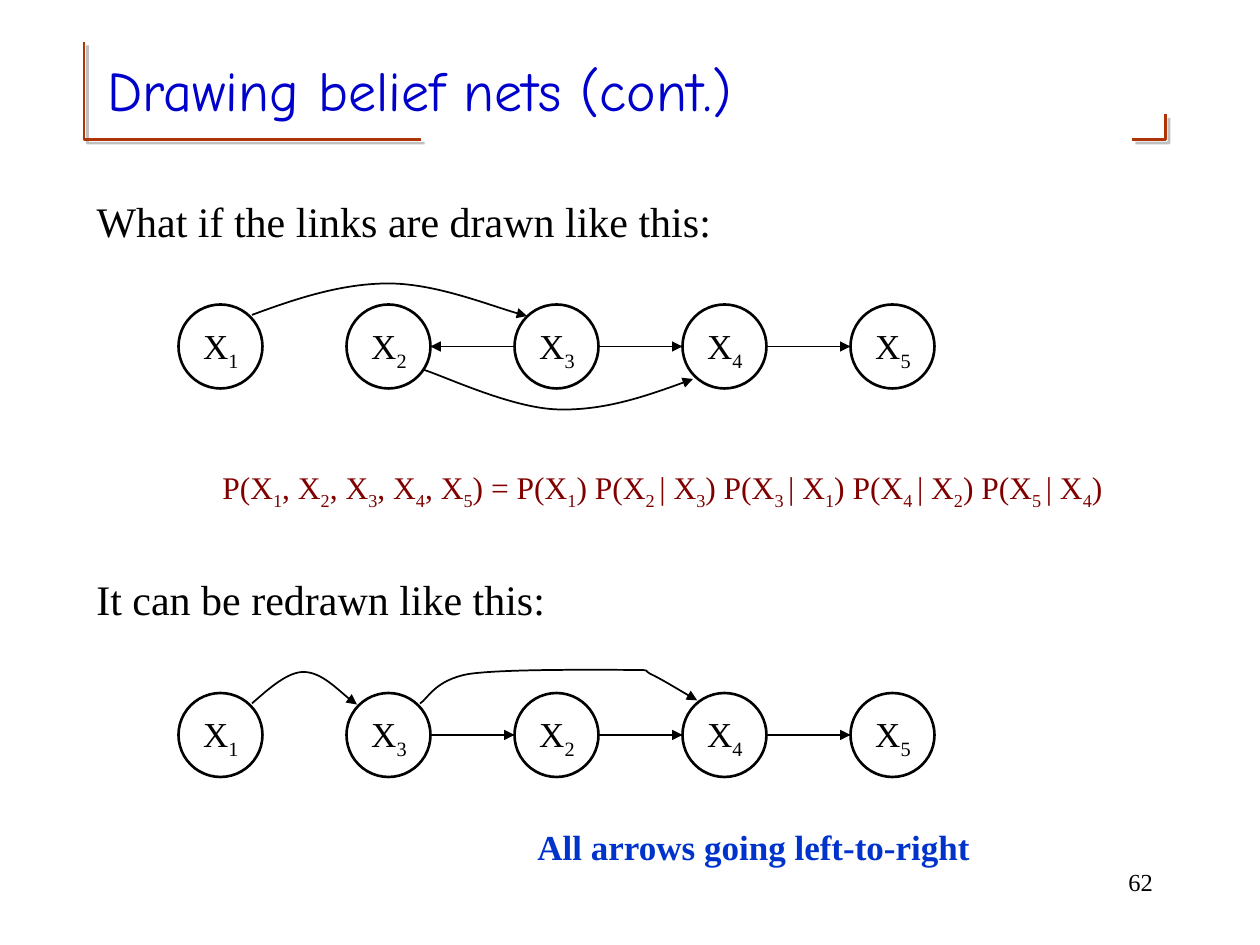
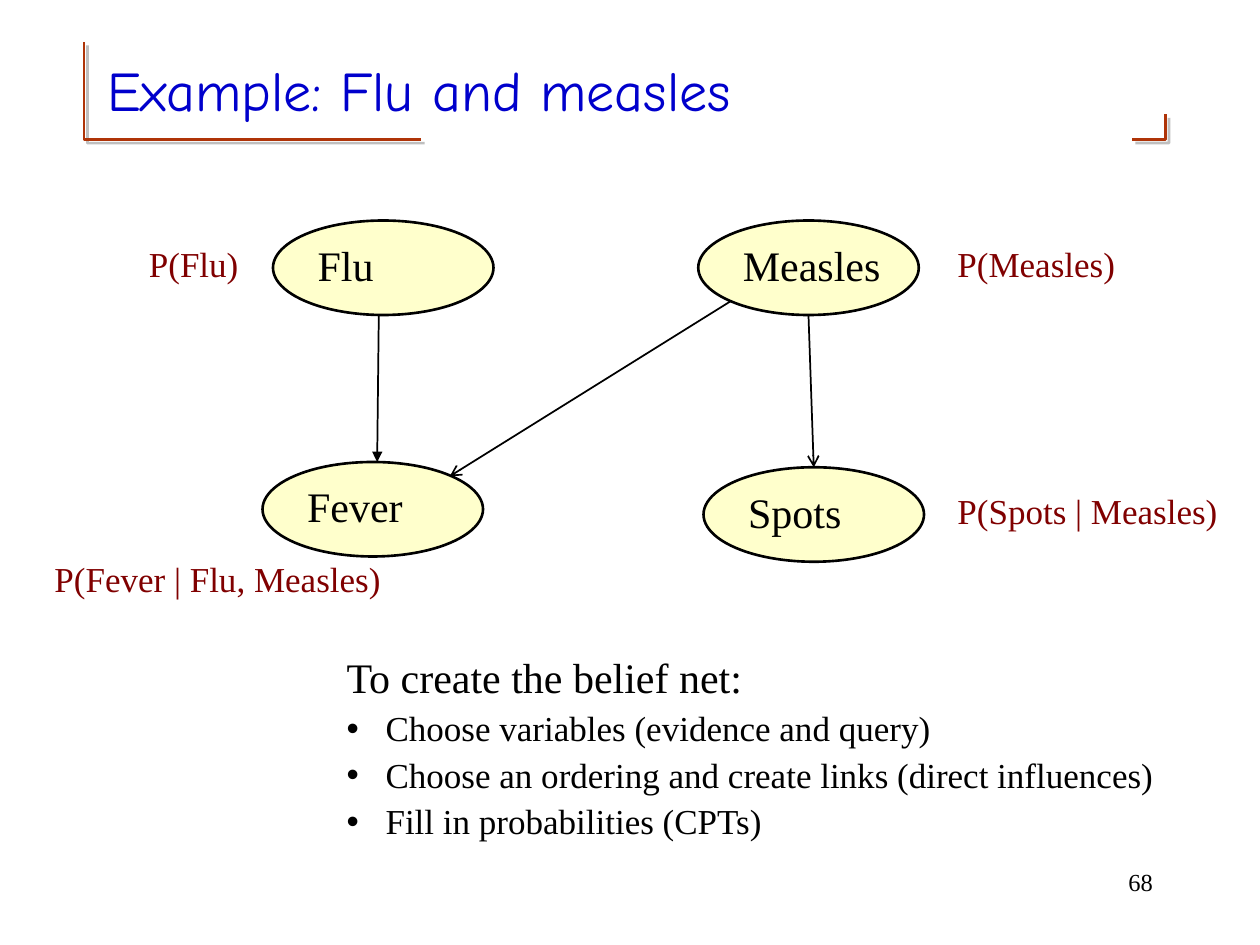
from lxml import etree
from pptx import Presentation
from pptx.dml.color import RGBColor
from pptx.enum.shapes import MSO_CONNECTOR, MSO_SHAPE
from pptx.enum.text import MSO_AUTO_SIZE, PP_ALIGN
from pptx.oxml.ns import qn
from pptx.util import Inches, Pt

LEFT, RIGHT = PP_ALIGN.LEFT, PP_ALIGN.RIGHT
NO_FIT = MSO_AUTO_SIZE.NONE
OVAL = MSO_SHAPE.OVAL
STRAIGHT = MSO_CONNECTOR.STRAIGHT

WIDE, HIGH = Inches(10), Inches(7.5)
COLS, ROWS = 120, 90
SERIF, HAND = "Times New Roman", "Comic Neue"
COLOR = {
    "ink": "000000",
    "title": "0000CC",
    "note": "0033CC",
    "prob": "800000",
    "node": "FFFFCC",
    "rule": "AF3408",
    "shade": "808080",
}


def hue(name):
    return RGBColor.from_string(COLOR[name])


def spot(col, row):
    return int(col * WIDE / COLS), int(row * HIGH / ROWS)


def area(box):
    return *spot(*box[:2]), *spot(*box[2:])


def move(shape, box):
    shape.left, shape.top, shape.width, shape.height = area(box)


def write(frame, lines, size, color="ink", face=SERIF, align=LEFT,
          space=None, bold=None, wrap=False):
    frame.auto_size = NO_FIT
    frame.word_wrap = wrap
    for i, line in enumerate(lines):
        par = frame.paragraphs[0] if i == 0 else frame.add_paragraph()
        for j, part in enumerate(line.split("_")):
            run = par.add_run()
            run.text = part
            if j % 2:
                run.font.size = Pt(size)
                run.font.name = face
                run.font.color.rgb = hue(color)
                run._r.get_or_add_rPr().set("baseline", "-25000")
        par.alignment = align
        par.space_before = Pt(0)
        if space:
            par.line_spacing = space
        style(par, size, color, face, bold)


def style(par, size, color="ink", face=SERIF, bold=None):
    par.font.size = Pt(size)
    par.font.name = face
    par.font.bold = bold
    par.font.color.rgb = hue(color)


def label(slide, box, text, size, **look):
    shape = slide.shapes.add_textbox(*area(box))
    write(shape.text_frame, [text], size, **look)


def plain(par):
    props = par._p.get_or_add_pPr()
    props.set("marL", "0")
    props.set("indent", "0")
    props.insert_element_before(etree.Element(qn("a:buNone")),
                                "a:tabLst", "a:defRPr")


def stroke(shape, color="ink", width=1.0, head=None):
    shape.line.color.rgb = hue(color)
    shape.line.width = Pt(width)
    if head:
        line = shape.element.spPr.find(qn("a:ln"))
        etree.SubElement(line, qn("a:tailEnd"), type=head)


def arrow(slide, start, end, head="triangle"):
    line = slide.shapes.add_connector(STRAIGHT, *spot(*start), *spot(*end))
    stroke(line, head=head)
    etree.SubElement(line.element.spPr, qn("a:effectLst"))


def outline(slide, points):
    first, *rest = [spot(*point) for point in points]
    pen = slide.shapes.build_freeform(*first)
    pen.add_line_segments(rest, close=False)
    shape = pen.convert_to_shape()
    shape.fill.background()
    shape.shadow.inherit = False
    return shape


def curve(slide, points):
    shape = outline(slide, points)
    track = next(shape.element.iter(qn("a:path")))
    steps = track.findall(qn("a:lnTo"))
    for i in range(0, len(steps), 3):
        bend = etree.SubElement(track, qn("a:cubicBezTo"))
        for step in steps[i:i + 3]:
            bend.append(step[0])
            track.remove(step)
    stroke(shape, head="triangle")


def oval(slide, box, text, size, fill=None):
    shape = slide.shapes.add_shape(OVAL, *area(box))
    shape.shadow.inherit = False
    if fill:
        shape.fill.solid()
        shape.fill.fore_color.rgb = hue(fill)
    else:
        shape.fill.background()
    stroke(shape, width=1.5)
    write(shape.text_frame, [text], size, space=0.9)


def corners(slide, layout):
    left, right, top, base = 8, 111, 4, 13.3
    for points in (
        [(left, top), (left, base), (40.1, base)],
        [(right, 10.9), (right, base), (107.8, base)],
    ):
        shape = outline(slide, points)
        stroke(shape, "rule", 1.5)
        glow = shape.element.spPr.find(qn("a:effectLst"))
        cast = etree.SubElement(glow, qn("a:outerShdw"), blurRad="0",
                                dist=str(Pt(2.8)), dir="2700000")
        tint = etree.SubElement(cast, qn("a:srgbClr"), val=COLOR["shade"])
        etree.SubElement(tint, qn("a:alpha"), val="50000")
        layout.shapes.element.append(shape.element)


def begin(deck, layout, title, page):
    slide = deck.slides.add_slide(layout)
    move(slide.shapes.title, (9, 3, 102, 11))
    write(slide.shapes.title.text_frame, [title], 32, "title", HAND, wrap=True)
    label(slide, (86, 82, 25, 6), page, 14, align=RIGHT, wrap=True)
    return slide


def chain(slide, box, order, links, arcs):
    left, top, width, height = box
    step = (width - height) / (len(order) - 1)
    for i, num in enumerate(order):
        oval(slide, (left + i * step, top, height, height), f"X_{num}_", 20)
    for a, b in links:
        ends = (height, 0) if a < b else (0, height)
        arrow(slide, *[(left + k * step + end, top + height / 2)
                       for k, end in zip((a, b), ends)])
    for arc in arcs:
        curve(slide, [(left + x, top + y) for x, y in arc])


def redraw(slide):
    body = slide.placeholders[1]
    move(body, (8, 18, 102, 9))
    plain(body.text_frame.paragraphs[0])
    write(body.text_frame, ["What if the links are drawn like this:"], 24,
          wrap=True)
    chain(slide, (17, 29, 72, 8), "12345", [(2, 1), (2, 3), (3, 4)], [
        [(7, 1), (11.3, -0.6), (15.6, -2), (20, -2),
         (24.4, -2), (30.4, 0.4), (33.2, 1.1)],
        [(23.3, 6.2), (25.5, 6.9), (31.8, 9.9), (36.2, 10),
         (40.4, 10.1), (44.7, 8.7), (49, 7.1)],
    ])
    label(slide, (20, 44, 86.2, 5.3),
          "P(X_1_, X_2_, X_3_, X_4_, X_5_) = P(X_1_) P(X_2 _| X_3_) "
          "P(X_3 _| X_1_) P(X_4 _| X_2_) P(X_5 _| X_4_)", 18, color="prob")
    label(slide, (8, 54, 102, 9), "It can be redrawn like this:", 24, wrap=True)
    chain(slide, (17, 66, 72, 8), "13245", [(1, 2), (2, 3), (3, 4)], [
        [(7, 1), (8.7, -0.5), (10.4, -2), (11.9, -2),
         (13.6, -2), (16, 0.5), (17, 1.1)],
        [(23, 1), (23.8, 0.5), (24.4, -1.2), (27.6, -1.8),
         (30.9, -2.3), (39.8, -2.2), (42.6, -2.2),
         (45.5, -2.2), (44, -2.2), (45.2, -1.7),
         (46.2, -1.2), (48.5, 0.2), (49.4, 0.7)],
    ])
    label(slide, (50, 78, 43.7, 5.3), "All arrows going left-to-right", 20,
          color="note", bold=True)


def steps(slide, box):
    body = slide.placeholders[1]
    move(body, box)
    frame = body.text_frame
    write(frame, [
        "To create the belief net:",
        "Choose variables (evidence and query)",
        "Choose an ordering and create links (direct influences)",
        "Fill in probabilities (CPTs)",
    ], 20, space=0.9)
    head, *items = frame.paragraphs
    plain(head)
    style(head, 24)
    for item in items:
        item.space_before = Pt(5)
        props = item._p.get_or_add_pPr()
        props.set("marL", str(Inches(0.31)))
        props.set("indent", str(Inches(-0.31)))


def graph(slide, size):
    wide, high = size
    nodes = {
        "Flu": (26, 21),
        "Measles": (66.5, 21),
        "Spots": (67, 44.5),
        "Fever": (25, 44),
    }

    def port(name, across, down):
        col, row = nodes[name]
        return col + across * wide, row + down * high

    for a, b, head in (
        (("Flu", 0.48, 1), ("Fever", 0.52, 0), "triangle"),
        (("Measles", 0.5, 1), ("Spots", 0.5, 0), "arrow"),
        (("Measles", 0.15, 0.85), ("Fever", 0.85, 0.15), "arrow"),
    ):
        arrow(slide, port(*a), port(*b), head)
    for name, place in nodes.items():
        oval(slide, (*place, wide, high), name, 24, "node")
    for text, col, row, span in (
        ("P(Flu)", 13, 23, 11),
        ("P(Measles)", 90, 23, 17.4),
        ("P(Spots | Measles)", 90, 46.5, 27.2),
        ("P(Fever | Flu, Measles)", 4, 53, 34),
    ):
        label(slide, (col, row, span, 4.8), text, 20, color="prob", space=0.9)


def main():
    deck = Presentation()
    deck.slide_width, deck.slide_height = WIDE, HIGH
    layout = deck.slide_layouts[1]
    first = begin(deck, layout, "Drawing belief nets (cont.)", "62")
    corners(first, layout)
    redraw(first)
    second = begin(deck, layout, "Example: Flu and measles", "68")
    steps(second, (31.8, 62, 79.3, 18.8))
    graph(second, (21, 9))
    deck.save("out.pptx")


if __name__ == "__main__":
    main()
